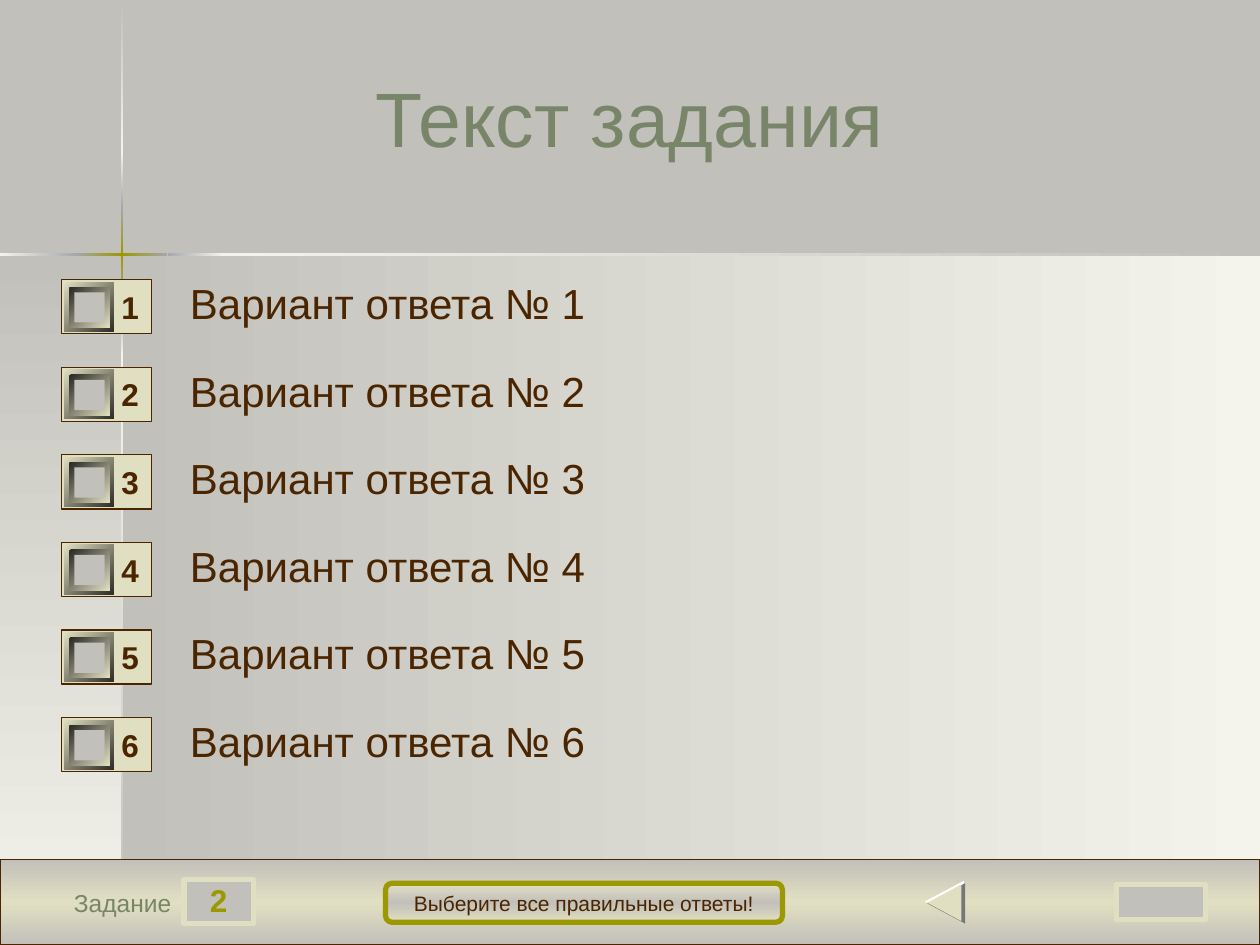
from lxml import etree
from pptx import Presentation
from pptx.dml.color import RGBColor
from pptx.enum.shapes import MSO_SHAPE
from pptx.enum.text import MSO_ANCHOR, PP_ALIGN
from pptx.oxml.ns import qn
from pptx.util import Inches, Pt

RECTANGLE = MSO_SHAPE.RECTANGLE
ROUNDED = MSO_SHAPE.ROUNDED_RECTANGLE
TRIANGLE = MSO_SHAPE.ISOSCELES_TRIANGLE
LEFT, CENTER, RIGHT = PP_ALIGN.LEFT, PP_ALIGN.CENTER, PP_ALIGN.RIGHT
TOP, MIDDLE = MSO_ANCHOR.TOP, MSO_ANCHOR.MIDDLE

WIDTH, HEIGHT = 10, 7.5
GRAY, IVORY, SAND, STEEL = "C2C0BA", "F4F4EC", "E1DFC1", "A5A7AF"
OLIVE, GREEN, BROWN = "9C9800", "788569", "4A2500"
ACROSS, DIAGONAL, DOWN = 0, 45, 90

TITLE = "Текст задания"
ANSWERS = [f"Вариант ответа № {number}" for number in range(1, 7)]
TASK_LABEL, TASK_NUMBER = "Задание", "2"
HINT = "Выберите все правильные ответы!"

# The two panels and the thin cross between them: box, gradient colours, angle
CROSS_X, CROSS_Y, LINE = 0.96, 2.01, 0.02
BACKDROP = [
    ((0.97, 2.02, 9.03, 5.48), (GRAY, IVORY), ACROSS),
    ((0, 2.02, 0.97, 5.48), (GRAY, IVORY), DOWN),
]
VERTICAL_PIECES = [  # top, length, colours
    (0.01, 1.2, (GRAY, IVORY)),
    (2.82, 4.68, (IVORY, GRAY)),
    (2.38, 0.44, (STEEL, IVORY)),
    (1.21, 0.44, (IVORY, STEEL)),
    (1.65, 0.73, (STEEL, OLIVE, STEEL)),
]
HORIZONTAL_PIECES = [  # left, length, colours
    (1.77, 8.23, (IVORY, GRAY)),
    (0, 0.61, (IVORY, STEEL)),
    (1.33, 0.44, (STEEL, IVORY)),
    (0.6, 0.73, (STEEL, OLIVE, STEEL)),
]
BACK_ARROW = [
    ((7.33, 7, 0.33, 0.31), "FFFFFF"),
    ((7.35, 7.02, 0.32, 0.3), "777777"),
    ((7.35, 7.03, 0.29, 0.27), SAND),
]

# Answer rows: first top, row pitch, then the nested squares of a checkbox
FIRST_ROW, PITCH = 2.2, 0.695
CHECKBOX_LEFT, CHECKBOX_DROP = 0.49, 0.02
SQUARES = [  # inset from the checkbox corner, size, fill
    (0.02, 0.39, (SAND, "2F2E28")),
    (0.06, 0.32, ("292924", SAND)),
    (0.1, 0.24, GRAY),
]


def color(hex_string):
    return RGBColor.from_string(hex_string)


def set_gradient(shape, colors, angle):
    """Fill with evenly spaced colours; angle in degrees, clockwise."""
    shape.fill.gradient()
    gradient = shape._element.spPr.find(qn("a:gradFill"))
    stops = gradient.find(qn("a:gsLst"))
    for stop in list(stops):
        stops.remove(stop)
    for index, hex_string in enumerate(colors):
        position = 100000 * index // (len(colors) - 1)
        stop = etree.SubElement(stops, qn("a:gs"), pos=str(position))
        etree.SubElement(stop, qn("a:srgbClr"), val=hex_string)
    gradient.find(qn("a:lin")).set("ang", str(angle * 60000))


def add_box(shapes, box, fill, angle=DOWN, kind=RECTANGLE, line=None, line_width=0.75):
    """Add a preset shape; fill is one colour or a sequence of gradient colours."""
    shape = shapes.add_shape(kind, *(Inches(length) for length in box))
    shape.shadow.inherit = False
    if isinstance(fill, str):
        shape.fill.solid()
        shape.fill.fore_color.rgb = color(fill)
    else:
        set_gradient(shape, fill, angle)
    if line:
        shape.line.color.rgb = color(line)
        shape.line.width = Pt(line_width)
    else:
        shape.line.fill.background()
    return shape


def write(shape, text, size, ink, bold=False, align=LEFT, anchor=TOP, wrap=True,
          margins=(0.1, 0.05), before=0, spacing=None, hanging=0):
    frame = shape.text_frame
    frame.word_wrap = wrap
    frame.vertical_anchor = anchor
    frame.margin_left = frame.margin_right = Inches(margins[0])
    frame.margin_top = frame.margin_bottom = Inches(margins[1])
    paragraph = frame.paragraphs[0]
    paragraph.alignment = align
    paragraph.space_before = Pt(before)
    if spacing:
        paragraph.line_spacing = spacing
    if hanging:
        properties = paragraph._p.get_or_add_pPr()
        properties.set("marL", str(Inches(hanging)))
        properties.set("indent", str(-Inches(hanging)))
    run = paragraph.add_run()
    run.text = text
    run.font.name = "Arial"
    run.font.size = Pt(size)
    run.font.bold = bold
    run.font.color.rgb = color(ink)


def add_label(shapes, box, text, **text_format):
    textbox = shapes.add_textbox(*(Inches(length) for length in box))
    write(textbox, text, **text_format)


def add_backdrop(shapes):
    group = shapes.add_group_shape().shapes
    for box, colors, angle in BACKDROP:
        add_box(group, box, colors, angle)
    for top, length, colors in VERTICAL_PIECES:
        add_box(group, (CROSS_X, top, LINE, length), colors, DOWN)
    for left, length, colors in HORIZONTAL_PIECES:
        add_box(group, (left, CROSS_Y, length, LINE), colors, ACROSS)


def add_footer(shapes):
    add_box(shapes, (0, 6.82, WIDTH, HEIGHT - 6.82), (GRAY, SAND, GRAY), line=BROWN)
    number = add_box(shapes, (1.46, 6.98, 0.55, 0.35), GRAY, line=SAND, line_width=3)
    write(number, TASK_NUMBER, size=18, ink=OLIVE, bold=True, align=CENTER,
          margins=(0.02, 0.01), before=11.2)
    add_box(shapes, (8.86, 7.02, 0.71, 0.28), GRAY, line=SAND, line_width=3)
    add_label(shapes, (0.53, 7.05, 0.83, 0.23), TASK_LABEL, size=14, ink=GREEN,
              align=RIGHT, margins=(0, 0), before=8.8)
    arrow = shapes.add_group_shape().shapes
    for box, fill in BACK_ARROW:
        add_box(arrow, box, fill, kind=TRIANGLE).rotation = 270
    hint = add_box(shapes, (3.06, 7.01, 3.15, 0.31), (SAND, GRAY, SAND),
                   kind=ROUNDED, line=OLIVE, line_width=3)
    write(hint, HINT, size=12, ink=BROWN, align=CENTER, anchor=MIDDLE, wrap=False)


def add_checkbox(shapes, top, number):
    group = shapes.add_group_shape().shapes
    frame = add_box(group, (CHECKBOX_LEFT, top, 0.71, 0.43), SAND, line=BROWN)
    write(frame, str(number), size=18, ink=BROWN, bold=True, align=RIGHT,
          anchor=MIDDLE, wrap=False)
    for inset, size, fill in SQUARES:
        add_box(group, (CHECKBOX_LEFT + inset, top + inset, size, size), fill, DIAGONAL)


def main():
    presentation = Presentation()
    presentation.slide_width = Inches(WIDTH)
    presentation.slide_height = Inches(HEIGHT)
    slide = presentation.slides.add_slide(presentation.slide_layouts[6])
    slide.background.fill.solid()
    slide.background.fill.fore_color.rgb = color(GRAY)
    shapes = slide.shapes

    add_backdrop(shapes)
    add_footer(shapes)
    add_label(shapes, (0.5, 0.3, 9, 1.25), TITLE, size=44, ink=GREEN,
              align=CENTER, anchor=MIDDLE)
    for row, answer in enumerate(ANSWERS):
        top = FIRST_ROW + row * PITCH
        add_label(shapes, (1.41, top, 8.07, 0.47), answer, size=24, ink=BROWN,
                  before=6, spacing=0.9, hanging=0.38)
        add_checkbox(shapes, top + CHECKBOX_DROP, row + 1)

    presentation.save("out.pptx")


if __name__ == "__main__":
    main()
